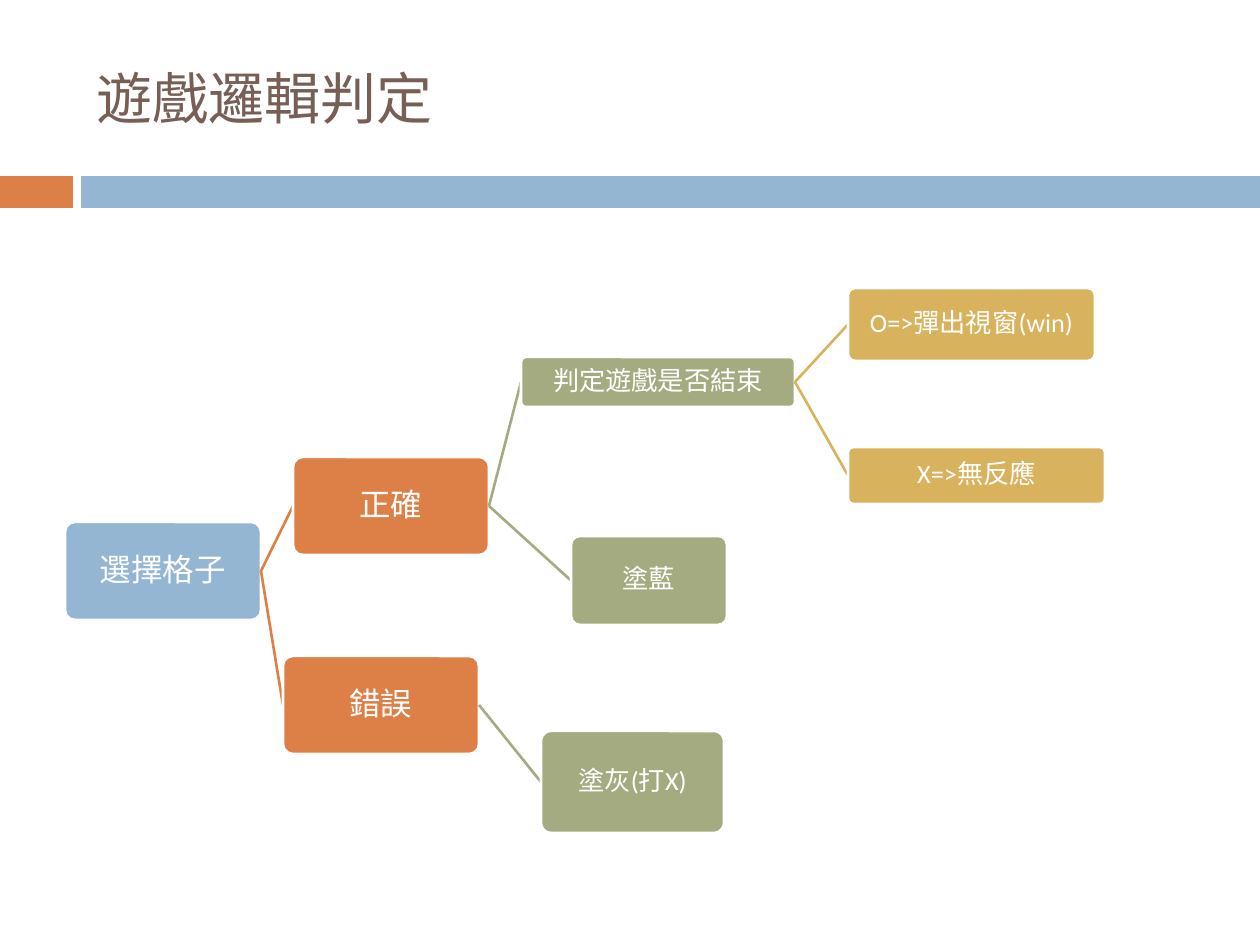
from lxml import etree
from pptx import Presentation, util as u
from pptx.dml.color import RGBColor
from pptx.enum import shapes, text
from pptx.oxml.ns import qn

WHITE = RGBColor(0xFF, 0xFF, 0xFF)
BROWN = RGBColor(0x77, 0x5F, 0x55)
BLUE = RGBColor(0x94, 0xB6, 0xD2)
ORANGE = RGBColor(0xDD, 0x80, 0x47)
GREEN = RGBColor(0xA5, 0xAB, 0x81)
GOLD = RGBColor(0xD8, 0xB2, 0x5C)
FONT = "Calibri"
SCALE = u.Inches(1) / 126

TITLE = ("遊戲邏輯判定", (84, 38, 1113, 118))
BANDS = [(ORANGE, (0, 176, 73, 32)), (BLUE, (81, 176, 1179, 32))]
LEVELS = [(BLUE, 18), (ORANGE, 18), (GREEN, 15), (GOLD, 15)]  # fill, text size

# label, box, children
TREE = ("選擇格子", (65, 522, 196, 98), [
    ("正確", (293, 457, 196, 98), [
        ("判定遊戲是否結束", (521, 357, 274, 50), [
            ("O=>彈出視窗(win)", (848, 288, 247, 73), []),
            ("X=>無反應", (848, 447, 257, 57), []),
        ]),
        ("塗藍", (571, 536, 156, 89), []),
    ]),
    ("錯誤", (283, 656, 196, 98), [
        ("塗灰(打X)", (541, 731, 183, 102), []),
    ]),
])


def emu(pixels):
    """Turn pixels into EMU."""
    return u.Emu(round(pixels * SCALE))


def add_block(slide, kind, box, fill):
    """Add a filled, shadowless shape without outline."""
    block = slide.shapes.add_shape(kind, *map(emu, box))
    block.shadow.inherit = False
    block.fill.solid()
    block.fill.fore_color.rgb = fill
    block.line.fill.background()
    return block


def write(frame, words, size, color):
    """Write one vertically centred paragraph and return it."""
    frame.word_wrap = True
    frame.vertical_anchor = text.MSO_ANCHOR.MIDDLE
    paragraph = frame.paragraphs[0]
    run = paragraph.add_run()
    run.text = words
    run.font.size = u.Pt(size)
    run.font.name = FONT
    run.font.color.rgb = color
    return paragraph


def add_branch(slide, start, end, color):
    """Draw a straight branch between two points."""
    branch = slide.shapes.add_connector(
        shapes.MSO_CONNECTOR.STRAIGHT, *map(emu, start + end))
    branch.line.color.rgb = color
    branch.line.width = u.Pt(1.5)
    etree.SubElement(branch._element.spPr, qn("a:effectLst"))


def add_node(slide, node, level=0, origin=None):
    """Draw a node, the branch leading to it, and its children."""
    label, box, children = node
    left, top, width, height = box
    middle = top + height / 2
    fill, size = LEVELS[level]
    if origin:
        add_branch(slide, origin, (left, middle), fill)
    block = add_block(slide, shapes.MSO_SHAPE.ROUNDED_RECTANGLE, box, fill)
    block.adjustments[0] = 0.1
    block.line.color.rgb = WHITE
    block.line.width = u.Pt(1.5)
    frame = block.text_frame
    frame.margin_left = frame.margin_right = emu(1)
    frame.margin_top = frame.margin_bottom = emu(1)
    paragraph = write(frame, label, size, WHITE)
    paragraph.alignment = text.PP_ALIGN.CENTER
    paragraph.line_spacing = 0.9
    for child in children:
        add_node(slide, child, level + 1, (left + width, middle))


def main():
    """Build and save the slide."""
    deck = Presentation()
    deck.slide_width, deck.slide_height = u.Inches(10), u.Inches(7.5)
    slide = deck.slides.add_slide(deck.slide_layouts[6])
    for fill, box in BANDS:
        add_block(slide, shapes.MSO_SHAPE.RECTANGLE, box, fill)
    words, box = TITLE
    title = slide.shapes.add_textbox(*map(emu, box))
    write(title.text_frame, words, 32, BROWN)
    add_node(slide, TREE)
    deck.save("out.pptx")


main()
